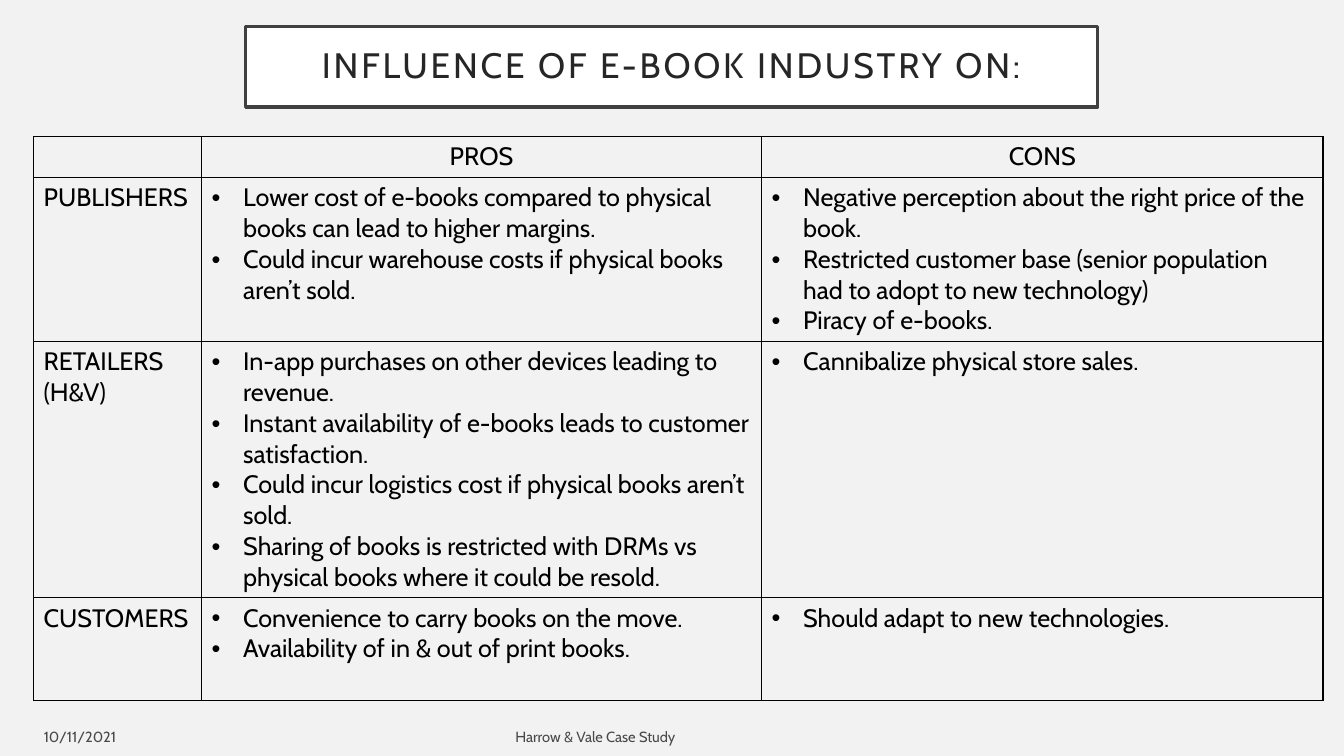
import pptx
import pptx.util
import pptx.dml.color
import pptx.enum.text
import pptx.oxml
import pptx.oxml.ns
from dataclasses import dataclass

Pt = pptx.util.Pt
ALIGN = pptx.enum.text.PP_ALIGN
MIDDLE = pptx.enum.text.MSO_ANCHOR.MIDDLE

# Content
TITLE = "INFLUENCE OF E-BOOK INDUSTRY ON:"
DATE = "10/11/2021"
FOOTER = "Harrow & Vale Case Study"
HEADERS = ["", "PROS", "CONS"]
GROUPS = [
    ("PUBLISHERS",
     ["Lower cost of e-books compared to physical books can lead to higher margins.",
      "Could incur warehouse costs if physical books aren’t sold."],
     ["Negative perception about the right price of the book.",
      "Restricted customer base (senior population had to adopt to new technology)",
      "Piracy of e-books."]),
    ("RETAILERS (H&V)",
     ["In-app purchases on other devices leading to revenue.",
      "Instant availability of e-books leads to customer satisfaction.",
      "Could incur logistics cost if physical books aren’t sold.",
      "Sharing of books is restricted with DRMs vs physical books where it could be resold."],
     ["Cannibalize physical store sales."]),
    ("CUSTOMERS",
     ["Convenience to carry books on the move.",
      "Availability of in & out of print books."],
     ["Should adapt to new technologies."]),
]


@dataclass(frozen=True)
class Theme:
    font: str = "Cabin"
    background: str = "F2F2F2"
    title_fill: str = "FFFFFF"
    title_line: str = "404040"
    title_text: str = "262626"
    body_text: str = "000000"
    footer_text: str = "494949"
    border: str = "000000"
    title_size: float = 25.2
    body_size: float = 18
    footer_size: float = 10.5


THEME = Theme()

# Layout in points
SLIDE_SIZE = (960, 540)
TITLE_BOX = (175.5, 19, 608.5, 57.5)
TABLE_ORIGIN = (24, 97.5)
COLUMN_WIDTHS = [120, 400, 401]
ROW_HEIGHTS = [29.2, 117.2, 182.8, 73.5]
FOOTER_TOP, FOOTER_HEIGHT = 514, 25
BULLET_INDENT = 22.5


def color(value):
    return pptx.dml.color.RGBColor.from_string(value)


def style(paragraph, size, text_color, alignment=ALIGN.LEFT):
    paragraph.alignment = alignment
    paragraph.font.name = THEME.font
    paragraph.font.size = Pt(size)
    paragraph.font.color.rgb = color(text_color)


def add_bullet(paragraph):
    properties = paragraph._p.get_or_add_pPr()
    properties.set("marL", str(Pt(BULLET_INDENT)))
    properties.set("indent", str(-Pt(BULLET_INDENT)))
    namespace = pptx.oxml.ns.nsdecls("a")
    for xml in (f'<a:buFont {namespace} typeface="Arial"/>', f'<a:buChar {namespace} char="•"/>'):
        properties.append(pptx.oxml.parse_xml(xml))


def add_borders(cell):
    properties = cell._tc.get_or_add_tcPr()
    for side in ("lnL", "lnR", "lnT", "lnB"):
        properties.append(pptx.oxml.parse_xml(
            f'<a:{side} {pptx.oxml.ns.nsdecls("a")} w="{Pt(1)}"><a:solidFill>'
            f'<a:srgbClr val="{THEME.border}"/></a:solidFill></a:{side}>'))


def fill_cell(cell, content, alignment):
    add_borders(cell)
    cell.fill.background()
    bulleted = isinstance(content, list)
    frame = cell.text_frame
    frame.text = "\n".join(content) if bulleted else content
    for paragraph in frame.paragraphs:
        if bulleted:
            add_bullet(paragraph)
        style(paragraph, THEME.body_size, THEME.body_text, alignment)


def add_title(slide):
    title = slide.shapes.title
    title.left, title.top, title.width, title.height = map(Pt, TITLE_BOX)
    title.fill.solid()
    title.fill.fore_color.rgb = color(THEME.title_fill)
    title.line.color.rgb = color(THEME.title_line)
    title.line.width = Pt(2.5)
    frame = title.text_frame
    frame.text = TITLE
    frame.word_wrap = True
    frame.auto_size = pptx.enum.text.MSO_AUTO_SIZE.NONE
    frame.vertical_anchor = MIDDLE
    frame.margin_left = frame.margin_right = frame.margin_top = frame.margin_bottom = Pt(14.4)
    paragraph = frame.paragraphs[0]
    paragraph.line_spacing = 0.9
    style(paragraph, THEME.title_size, THEME.title_text, ALIGN.CENTER)
    paragraph.runs[0]._r.get_or_add_rPr().set("spc", "200")


def add_table(slide):
    rows = [HEADERS, *GROUPS]
    table = slide.shapes.add_table(
        len(rows), len(HEADERS), *map(Pt, TABLE_ORIGIN),
        Pt(sum(COLUMN_WIDTHS)), Pt(sum(ROW_HEIGHTS))).table
    table.first_row = table.horz_banding = False
    for column, width in zip(table.columns, COLUMN_WIDTHS):
        column.width = Pt(width)
    for row, height in zip(table.rows, ROW_HEIGHTS):
        row.height = Pt(height)
    for row_index, row in enumerate(rows):
        alignment = ALIGN.LEFT if row_index else ALIGN.CENTER
        for column_index, content in enumerate(row):
            fill_cell(table.cell(row_index, column_index), content, alignment)


def add_footer(slide, text, left, width, alignment):
    box = slide.shapes.add_textbox(Pt(left), Pt(FOOTER_TOP), Pt(width), Pt(FOOTER_HEIGHT))
    frame = box.text_frame
    frame.text = text
    frame.word_wrap = True
    frame.vertical_anchor = MIDDLE
    style(frame.paragraphs[0], THEME.footer_size, THEME.footer_text, alignment)


def main():
    presentation = pptx.Presentation()
    presentation.slide_width, presentation.slide_height = map(Pt, SLIDE_SIZE)
    slide = presentation.slides.add_slide(presentation.slide_layouts.get_by_name("Title Only"))
    slide.background.fill.solid()
    slide.background.fill.fore_color.rgb = color(THEME.background)

    # Title, comparison table, footer
    add_title(slide)
    add_table(slide)
    add_footer(slide, DATE, 0, 90, ALIGN.RIGHT)
    add_footer(slide, FOOTER, 361, 464.5, ALIGN.LEFT)
    presentation.save("out.pptx")


if __name__ == "__main__":
    main()
